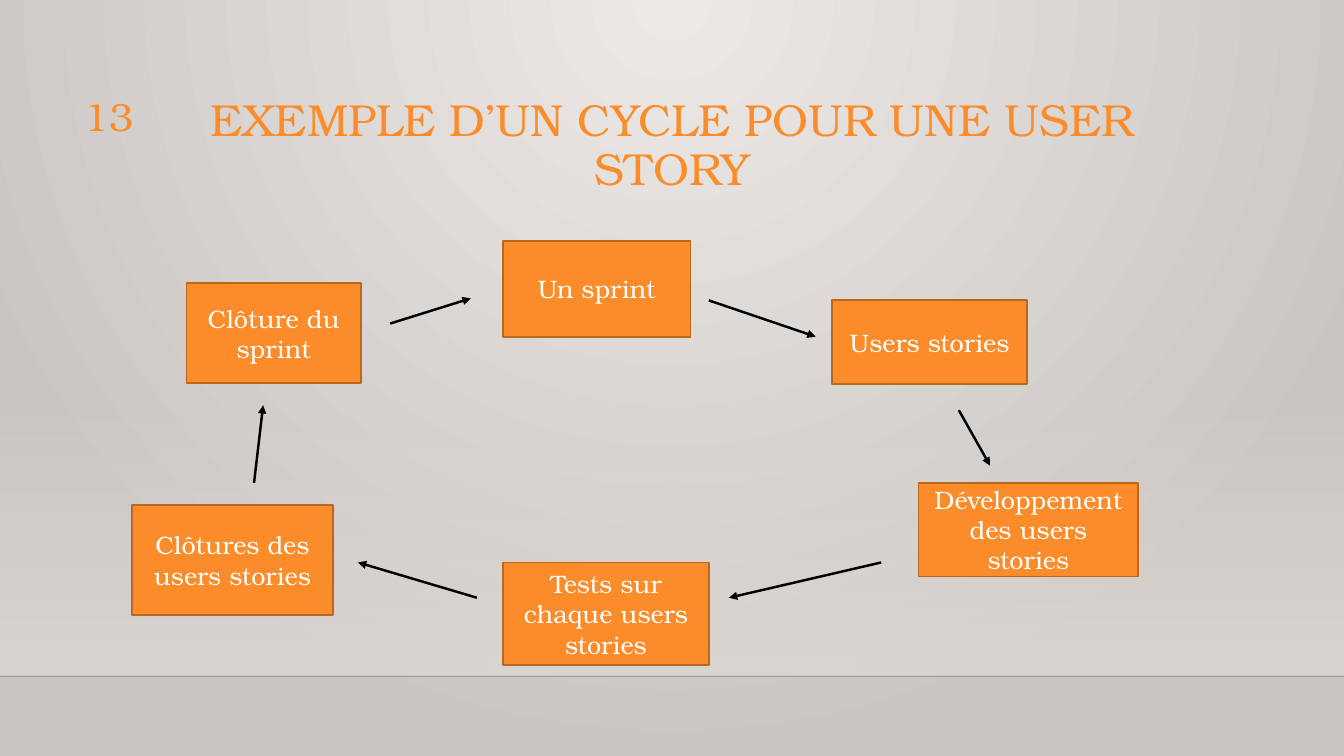
from lxml import etree
from pptx import Presentation
from pptx.dml.color import RGBColor
from pptx.enum.shapes import MSO_CONNECTOR, MSO_SHAPE
from pptx.enum.text import MSO_ANCHOR, MSO_AUTO_SIZE, PP_ALIGN
from pptx.oxml.ns import qn
from pptx.util import Inches, Pt

RECT = MSO_SHAPE.RECTANGLE
STRAIGHT = MSO_CONNECTOR.STRAIGHT
MIDDLE = MSO_ANCHOR.MIDDLE
CENTER, RIGHT = PP_ALIGN.CENTER, PP_ALIGN.RIGHT
FONT = "TeX Gyre Bonum"
ORANGE, BROWN, WHITE, BLACK = "FB8C29", "BA681E", "FFFFFF", "000000"
rgb = RGBColor.from_string


def write(frame, text, size, color, align):
    frame.word_wrap = True
    frame.text = text
    para = frame.paragraphs[0]
    para.alignment = align
    para.font.name = FONT
    para.font.size = Pt(size)
    para.font.color.rgb = rgb(color)
    return para


def draw_line(start, end, color, width):
    line = slide.shapes.add_connector(STRAIGHT, *map(Inches, start + end))
    line.line.color.rgb = rgb(color)
    line.line.width = Pt(width)
    etree.SubElement(line._element.spPr, qn("a:effectLst"))
    return line


prs = Presentation()
prs.slide_width, prs.slide_height = Inches(13.33), Inches(7.5)
slide = prs.slides.add_slide(prs.slide_layouts[5])

# Background: a round glow from the top centre
back = slide.background.fill
back.gradient()
for stop, color in zip(back.gradient_stops, ("ECE9E7", "CAC5C1")):
    stop.color.rgb = rgb(color)
linear = next(slide.background._cSld.iter(qn("a:lin")))
glow = etree.Element(qn("a:path"), path="circle")
etree.SubElement(glow, qn("a:fillToRect"), l="43000", t="0", r="43000", b="100000")
linear.getparent().replace(linear, glow)

# Floor: a fading band above a thin line
band = slide.shapes.add_shape(RECT, 0, Inches(3.96), Inches(13.33), Inches(2.74))
band.shadow.inherit = False
band.line.fill.background()
band.fill.gradient()
band.fill.gradient_angle = 270
for stop in band.fill.gradient_stops:
    stop.color.rgb = rgb("DFD9D5")
floor = draw_line((0, 6.71), (13.33, 6.71), "000001", 1)
tints = [*band._element.spPr.iter(qn("a:srgbClr")), *floor._element.spPr.iter(qn("a:srgbClr"))]
for tint, alpha in zip(tints, (0, 80, 20)):
    etree.SubElement(tint, qn("a:alpha"), val=str(alpha * 1000))

# Title and page number
title = slide.shapes.title
title.left, title.top, title.width, title.height = map(Inches, (1.59, 0.88, 10.16, 1.15))
para = write(title.text_frame, "EXEMPLE D’UN CYCLE POUR UNE USER STORY", 32, ORANGE, CENTER)
para.line_spacing = 0.9
title.text_frame.vertical_anchor = MIDDLE
title.text_frame.auto_size = MSO_AUTO_SIZE.NONE
page = slide.shapes.add_textbox(*map(Inches, (0.53, 0.87, 0.89, 0.55)))
write(page.text_frame, "13", 28, ORANGE, RIGHT)

# Steps of the cycle, clockwise from the top
steps = [
    ("Un sprint", 4.99, 2.39, 1.86, 0.95),
    ("Users stories", 8.25, 2.98, 1.94, 0.83),
    ("Développement des users stories", 9.11, 4.79, 2.18, 0.93),
    ("Tests sur chaque users stories", 4.99, 5.58, 2.04, 1.02),
    ("Clôtures des users stories", 1.31, 5.01, 1.99, 1.09),
    ("Clôture du sprint", 1.85, 2.81, 1.73, 0.99),
]
for text, *place in steps:
    box = slide.shapes.add_shape(RECT, *map(Inches, place))
    box.shadow.inherit = False
    box.fill.solid()
    box.fill.fore_color.rgb = rgb(ORANGE)
    box.line.color.rgb = rgb(BROWN)
    box.line.width = Pt(1.25)
    box.text_frame.vertical_anchor = MIDDLE
    write(box.text_frame, text, 18, WHITE, CENTER)

# Arrows between the steps, in the same order
arrows = [
    ((7.03, 2.98), (8.09, 3.34)),
    ((9.51, 4.07), (9.82, 4.62)),
    ((8.74, 5.58), (7.23, 5.93)),
    ((4.73, 5.93), (3.55, 5.58)),
    ((2.52, 4.79), (2.61, 4.02)),
    ((3.87, 3.21), (4.67, 2.96)),
]
for start, end in arrows:
    arrow = draw_line(start, end, BLACK, 1.75)
    etree.SubElement(arrow.line._get_or_add_ln(), qn("a:tailEnd"), type="triangle")

prs.save("out.pptx")
